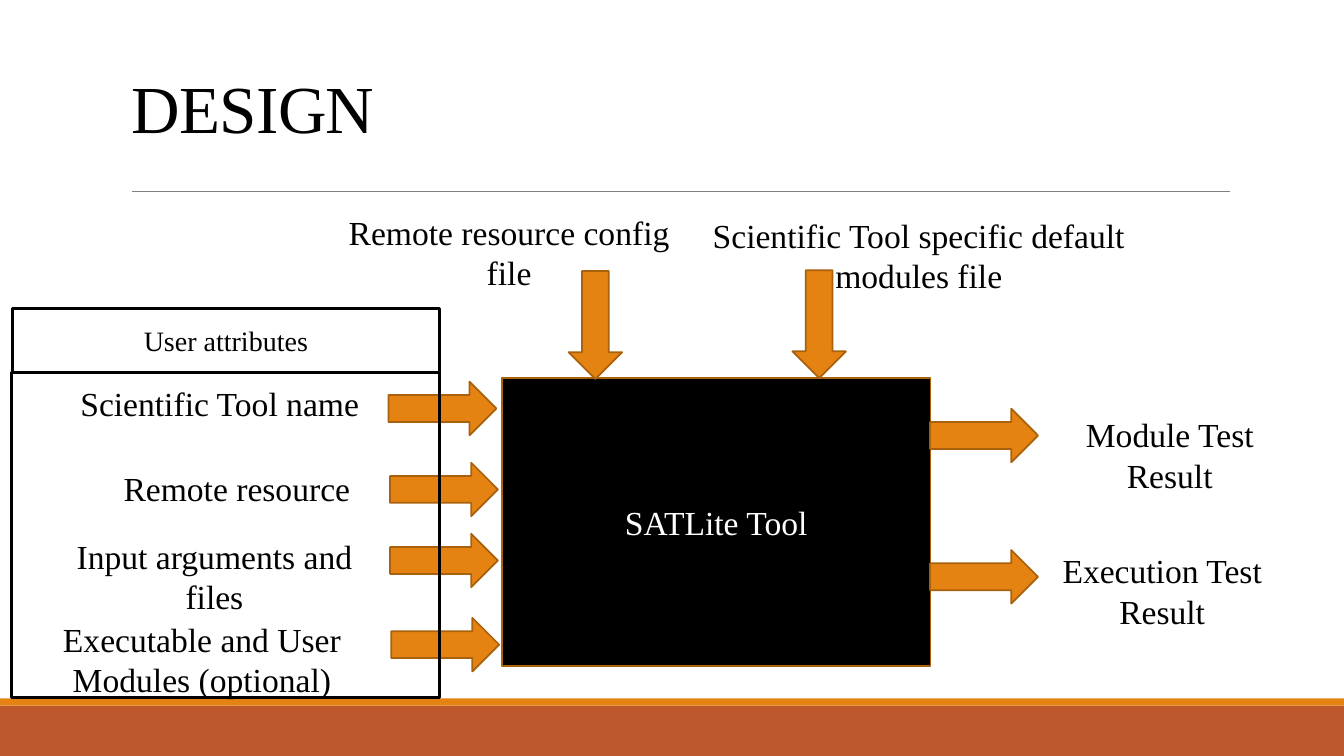
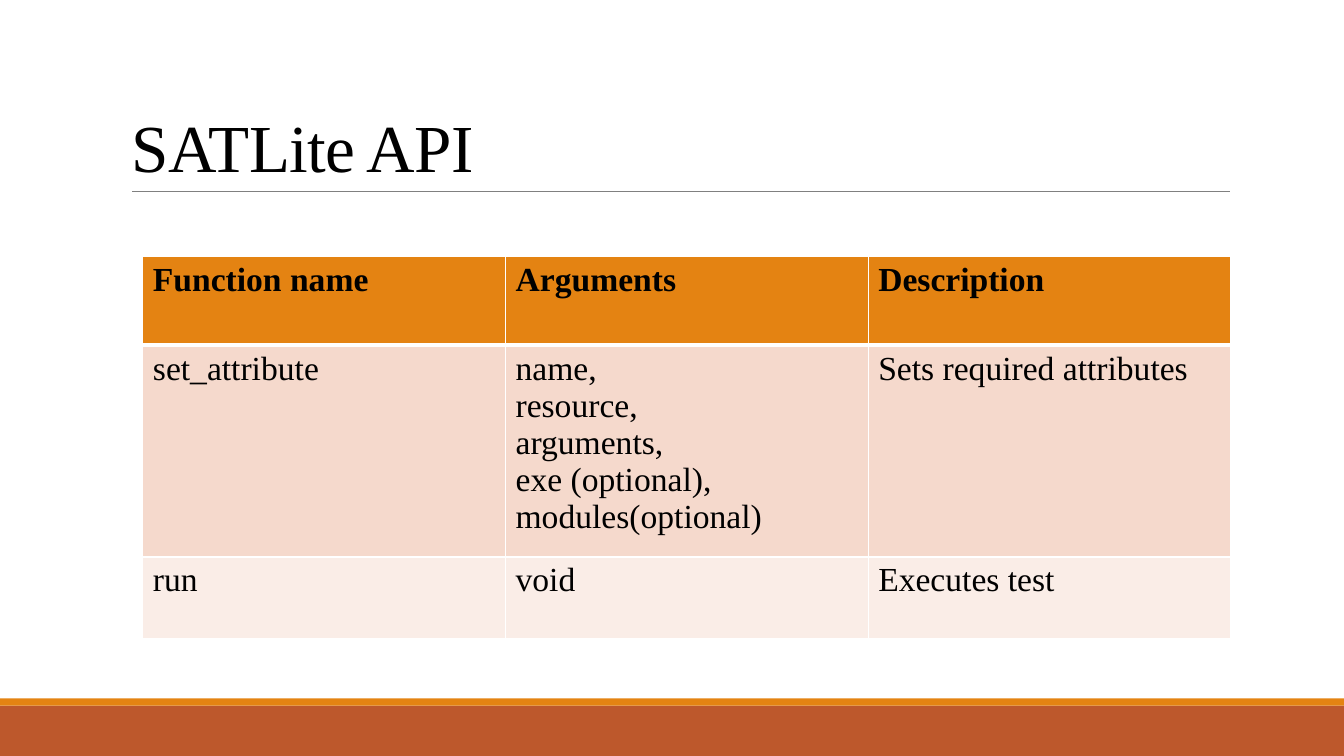
import dataclasses
import typing

import lxml.etree
import pptx
import pptx.dml.color
import pptx.enum.shapes
import pptx.enum.text
import pptx.oxml.ns
import pptx.util

Cm = pptx.util.Cm
Pt = pptx.util.Pt
RGBColor = pptx.dml.color.RGBColor
MSO_SHAPE = pptx.enum.shapes.MSO_SHAPE
ANCHOR = pptx.enum.text.MSO_ANCHOR
ALIGN = pptx.enum.text.PP_ALIGN
qn = pptx.oxml.ns.qn

# Shared look
BLACK = RGBColor(0x00, 0x00, 0x00)
WHITE = RGBColor(0xFF, 0xFF, 0xFF)
ORANGE = RGBColor(0xE4, 0x83, 0x12)
DARK_ORANGE = RGBColor(0xA9, 0x61, 0x0D)
RUST = RGBColor(0xBD, 0x58, 0x2C)
GRAY = RGBColor(0x80, 0x80, 0x80)
ROW_DARK = RGBColor(0xF5, 0xD9, 0xCC)
ROW_LIGHT = RGBColor(0xFA, 0xED, 0xE7)

FONT = "Times New Roman"
TITLE_PARAGRAPH = {"line_spacing": 0.85}
CENTERED_PARAGRAPH = {"alignment": ALIGN.CENTER}


@dataclasses.dataclass(frozen=True)
class Box:
    """Place in centimetres, with optional text."""
    left: float
    top: float
    width: float
    height: float
    text: str = ""
    size: float = 24

    def lengths(self) -> list:
        return [Cm(v) for v in (self.left, self.top, self.width, self.height)]


@dataclasses.dataclass(frozen=True)
class Style:
    fill: typing.Optional[RGBColor] = None
    line: typing.Optional[RGBColor] = None
    weight: float = 1.25
    color: RGBColor = BLACK


ARROW_STYLE = Style(ORANGE, DARK_ORANGE)
TOOL_STYLE = Style(BLACK, DARK_ORANGE, color=WHITE)
FRAME_STYLE = Style(line=BLACK, weight=2.25)


def apply(target: typing.Any, values: dict) -> None:
    for name, value in values.items():
        setattr(target, name, value)


def write(p: typing.Any, text: str, size: float, color: RGBColor = BLACK,
          bold: bool = False) -> typing.Any:
    r = p.add_run()
    r.text = text
    apply(r.font, {"name": FONT, "size": Pt(size), "bold": bold})
    r.font.color.rgb = color
    return r


def add_shape(slide: typing.Any, kind: MSO_SHAPE, box: Box, style: Style) -> None:
    sp = slide.shapes.add_shape(kind, *box.lengths())
    sp.shadow.inherit = False
    if style.fill is None:
        sp.fill.background()
    else:
        sp.fill.solid()
        sp.fill.fore_color.rgb = style.fill
    if style.line is None:
        sp.line.fill.background()
    else:
        sp.line.color.rgb = style.line
        sp.line.width = Pt(style.weight)
    if box.text:
        tf = sp.text_frame
        apply(tf, {"word_wrap": True, "vertical_anchor": ANCHOR.MIDDLE})
        p = tf.paragraphs[0]
        apply(p, CENTERED_PARAGRAPH)
        write(p, box.text, box.size, style.color)


def add_text(slide: typing.Any, box: Box, paragraph: dict,
             anchor: ANCHOR = ANCHOR.TOP) -> typing.Any:
    tf = slide.shapes.add_textbox(*box.lengths()).text_frame
    apply(tf, {"word_wrap": True, "vertical_anchor": anchor})
    p = tf.paragraphs[0]
    apply(p, paragraph)
    return write(p, box.text, box.size)


def add_base(prs: typing.Any, title: str, title_top: float) -> typing.Any:
    """New slide with footer bands, title rule and title."""
    slide = prs.slides.add_slide(prs.slide_layouts[6])
    add_shape(slide, MSO_SHAPE.RECTANGLE, Box(0, 17.78, 33.87, 1.27), Style(RUST))
    add_shape(slide, MSO_SHAPE.RECTANGLE, Box(0, 17.6, 33.87, 0.18), Style(ORANGE))
    rule = slide.shapes.add_connector(
        pptx.enum.shapes.MSO_CONNECTOR.STRAIGHT, Cm(3.33), Cm(4.83), Cm(31), Cm(4.83))
    rule.line.color.rgb = GRAY
    rule.line.width = Pt(0.5)
    lxml.etree.SubElement(rule._element.spPr, qn("a:effectLst"))
    r = add_text(slide, Box(3.07, title_top, 27.94, 4.04, title, 48),
                 TITLE_PARAGRAPH, ANCHOR.BOTTOM)
    r._r.get_or_add_rPr().set("spc", "-50")
    return slide


# Design slide
ARROW_LENGTH, ARROW_BREADTH = 2.72, 1.35
TOOL = Box(12.65, 9.52, 10.8, 7.26, "SATLite Tool")
RIGHT_ARROWS = [(9.79, 9.62), (9.83, 11.66), (9.83, 13.45), (9.86, 15.57),
                (23.44, 10.3), (23.44, 13.86)]
DOWN_ARROWS = [(14.33, 6.83), (19.97, 6.81)]
LABELS = [
    Box(0.56, 9.52, 9.96, 1.27, "Scientific Tool name"),
    Box(2.16, 11.66, 7.62, 1.27, "Remote resource"),
    Box(1.34, 13.38, 8.13, 2.31, "Input arguments and files"),
    Box(0.06, 15.46, 10.06, 2.31, "Executable and User Modules (optional)"),
    Box(8.26, 5.21, 9.14, 2.31, "Remote resource config file"),
    Box(17.53, 5.28, 11.25, 2.31, "Scientific Tool specific default modules file"),
    Box(25.96, 10.31, 7.04, 2.31, "Module Test Result"),
    Box(25.48, 13.74, 7.62, 2.31, "Execution Test Result"),
]
FRAMES = [Box(0.28, 9.38, 10.8, 8.2),
          Box(0.31, 7.78, 10.77, 1.6, "User attributes", 20)]


def build_design(prs: typing.Any) -> None:
    slide = add_base(prs, "DESIGN", -0.2)
    add_shape(slide, MSO_SHAPE.RECTANGLE, TOOL, TOOL_STYLE)
    for left, top in RIGHT_ARROWS:
        add_shape(slide, MSO_SHAPE.RIGHT_ARROW,
                  Box(left, top, ARROW_LENGTH, ARROW_BREADTH), ARROW_STYLE)
    for left, top in DOWN_ARROWS:
        add_shape(slide, MSO_SHAPE.DOWN_ARROW,
                  Box(left, top, ARROW_BREADTH, ARROW_LENGTH), ARROW_STYLE)
    for label in LABELS:
        add_text(slide, label, CENTERED_PARAGRAPH)
    for frame in FRAMES:
        add_shape(slide, MSO_SHAPE.RECTANGLE, frame, FRAME_STYLE)


# API slide
@dataclasses.dataclass(frozen=True)
class Row:
    height: float
    fill: RGBColor
    cells: tuple
    bold: bool = False


COLUMN_WIDTH = 9.14
ROWS = [
    Row(2.24, ORANGE, ("Function name", "Arguments", "Description"), True),
    Row(4.93, ROW_DARK, ("set_attribute",
                         "name,\nresource,\narguments,\nexe (optional), modules(optional)",
                         "Sets required attributes")),
    Row(2.06, ROW_LIGHT, ("run", "void", "Executes test")),
]


def set_borders(cell: typing.Any, weights: dict) -> None:
    tcPr = cell._tc.get_or_add_tcPr()
    for side, weight in weights.items():
        ln = lxml.etree.SubElement(tcPr, qn(f"a:ln{side}"), w=str(Pt(weight)))
        fill = lxml.etree.SubElement(ln, qn("a:solidFill"))
        lxml.etree.SubElement(fill, qn("a:srgbClr"), val=str(WHITE))


def build_api(prs: typing.Any) -> None:
    slide = add_base(prs, "SATLite API", 0.79)
    columns = len(ROWS[0].cells)
    box = Box(3.6, 6.46, columns * COLUMN_WIDTH, sum(row.height for row in ROWS))
    table = slide.shapes.add_table(len(ROWS), columns, *box.lengths()).table
    for column in table.columns:
        column.width = Cm(COLUMN_WIDTH)
    for i, row in enumerate(ROWS):
        table.rows[i].height = Cm(row.height)
        weights = {"L": 1, "R": 1, "T": 3 if i == 1 else 1, "B": 3 if i == 0 else 1}
        for j, text in enumerate(row.cells):
            cell = table.cell(i, j)
            set_borders(cell, weights)
            cell.fill.solid()
            cell.fill.fore_color.rgb = row.fill
            tf = cell.text_frame
            for k, line in enumerate(text.split("\n")):
                p = tf.add_paragraph() if k else tf.paragraphs[0]
                write(p, line, 24, bold=row.bold)


# Presentation
prs = pptx.Presentation()
apply(prs, {"slide_width": Cm(33.87), "slide_height": Cm(19.05)})
build_design(prs)
build_api(prs)
prs.save("out.pptx")
